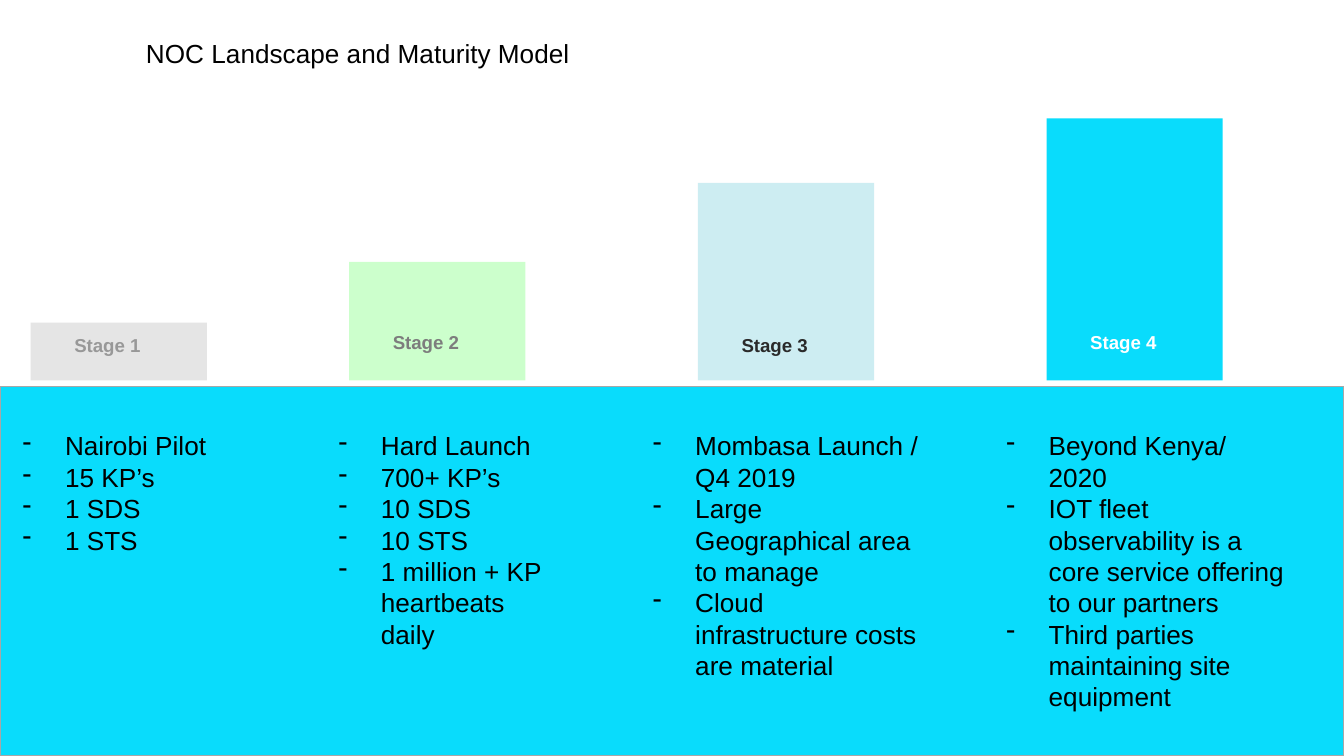
from lxml import etree
from pptx import Presentation
from pptx.dml.color import RGBColor
from pptx.enum.shapes import MSO_SHAPE
from pptx.oxml.ns import qn
from pptx.util import Cm, Pt

RECTANGLE = MSO_SHAPE.RECTANGLE

COLORS = {
    "panel": "09DCFC", "border": "A7A7A7", "text": "000000",
    "gray": "7D7D7D", "green": "00FF00", "teal": "06A8C1", "cyan": "09DCFC",
    "light label": "989898", "dark label": "2A2A2A", "white": "FFFFFF",
}

# Content; lengths in cm, opacity in percent
TITLE = "NOC Landscape and Maturity Model"
STAGES = [
    {"name": "Stage 1", "bar": (0.58, 1.09), "fill": "gray", "opacity": 20,
     "label": "light label", "label_top": 6.1, "list": (0.18, 4.24, 2.64),
     "points": ["Nairobi Pilot", "15 KP’s", "1 SDS", "1 STS"]},
    {"name": "Stage 2", "bar": (6.6, 2.24), "fill": "green", "opacity": 20,
     "label": "gray", "label_top": 6.05, "list": (6.15, 4.57, 4.45),
     "points": ["Hard Launch", "700+ KP’s", "10 SDS", "10 STS",
                "1 million + KP heartbeats daily"]},
    {"name": "Stage 3", "bar": (13.19, 3.73), "fill": "teal", "opacity": 20,
     "label": "dark label", "label_top": 6.1, "list": (12.09, 5.61, 4.45),
     "points": ["Mombasa Launch / Q4 2019", "Large Geographical area to manage",
                "Cloud infrastructure costs are material"]},
    {"name": "Stage 4", "bar": (19.78, 4.95), "fill": "cyan", "opacity": 100,
     "label": "white", "label_top": 6.05, "list": (18.77, 5.89, 5.05),
     "points": ["Beyond Kenya/ 2020",
                "IOT fleet observability is a core service offering to our partners",
                "Third parties maintaining site equipment"]},
]

# Layout in cm
SLIDE_WIDTH, SLIDE_HEIGHT = 25.4, 14.29
PANEL_TOP, LIST_TOP = 7.31, 8.0
BAR_WIDTH, BAR_BOTTOM = 3.33, 7.19
LABEL_WIDTH, LABEL_HEIGHT = 2.18, 0.76
INDENT = Cm(0.8)


def rgb(name):
    return RGBColor.from_string(COLORS[name])


def add_block(left, top, width, height, color, opacity=100):
    block = slide.shapes.add_shape(
        RECTANGLE, Cm(left), Cm(top), Cm(width), Cm(height))
    block.shadow.inherit = False
    block.fill.solid()
    block.fill.fore_color.rgb = rgb(color)
    block.line.fill.background()
    if opacity < 100:
        tint = block.fill._xPr.find(".//" + qn("a:srgbClr"))
        etree.SubElement(tint, qn("a:alpha"), val=str(opacity * 1000))
    return block


def add_dash(paragraph):
    props = paragraph._p.get_or_add_pPr()
    props.set("marL", str(INDENT))
    props.set("indent", str(-INDENT))
    dash_color = etree.SubElement(props, qn("a:buClr"))
    etree.SubElement(dash_color, qn("a:srgbClr"), val=COLORS["text"])
    etree.SubElement(props, qn("a:buChar"), char="-")


def add_text(left, top, width, height, lines, size=14, color="text",
             bold=False, dashes=False):
    frame = slide.shapes.add_textbox(
        Cm(left), Cm(top), Cm(width), Cm(height)).text_frame
    frame.word_wrap = True
    frame.text = "\n".join(lines)
    for paragraph in frame.paragraphs:
        if dashes:
            add_dash(paragraph)
        paragraph.font.name = "Arial"
        paragraph.font.size = Pt(size)
        paragraph.font.bold = bold
        paragraph.font.color.rgb = rgb(color)
    return frame


deck = Presentation()
deck.slide_width, deck.slide_height = Cm(SLIDE_WIDTH), Cm(SLIDE_HEIGHT)
slide = deck.slides.add_slide(deck.slide_layouts[6])

# Lower panel
panel = add_block(0, PANEL_TOP, SLIDE_WIDTH, SLIDE_HEIGHT - PANEL_TOP, "panel")
panel.line.color.rgb = rgb("border")
panel.line.width = Pt(0.75)

# Rising bars, their labels and the points below
for stage in STAGES:
    left, height = stage["bar"]
    add_block(left, BAR_BOTTOM - height, BAR_WIDTH, height,
              stage["fill"], stage["opacity"])
    label = add_text(left + (BAR_WIDTH - LABEL_WIDTH) / 2, stage["label_top"],
                     LABEL_WIDTH, LABEL_HEIGHT, [stage["name"]],
                     size=10, color=stage["label"], bold=True)
    label.margin_top = label.margin_bottom = Cm(0.25)
    list_left, list_width, list_height = stage["list"]
    add_text(list_left, LIST_TOP, list_width, list_height, stage["points"],
             dashes=True)

# Title
add_text(2.51, 0.58, 12.42, 0.94, [TITLE])

deck.save("out.pptx")
